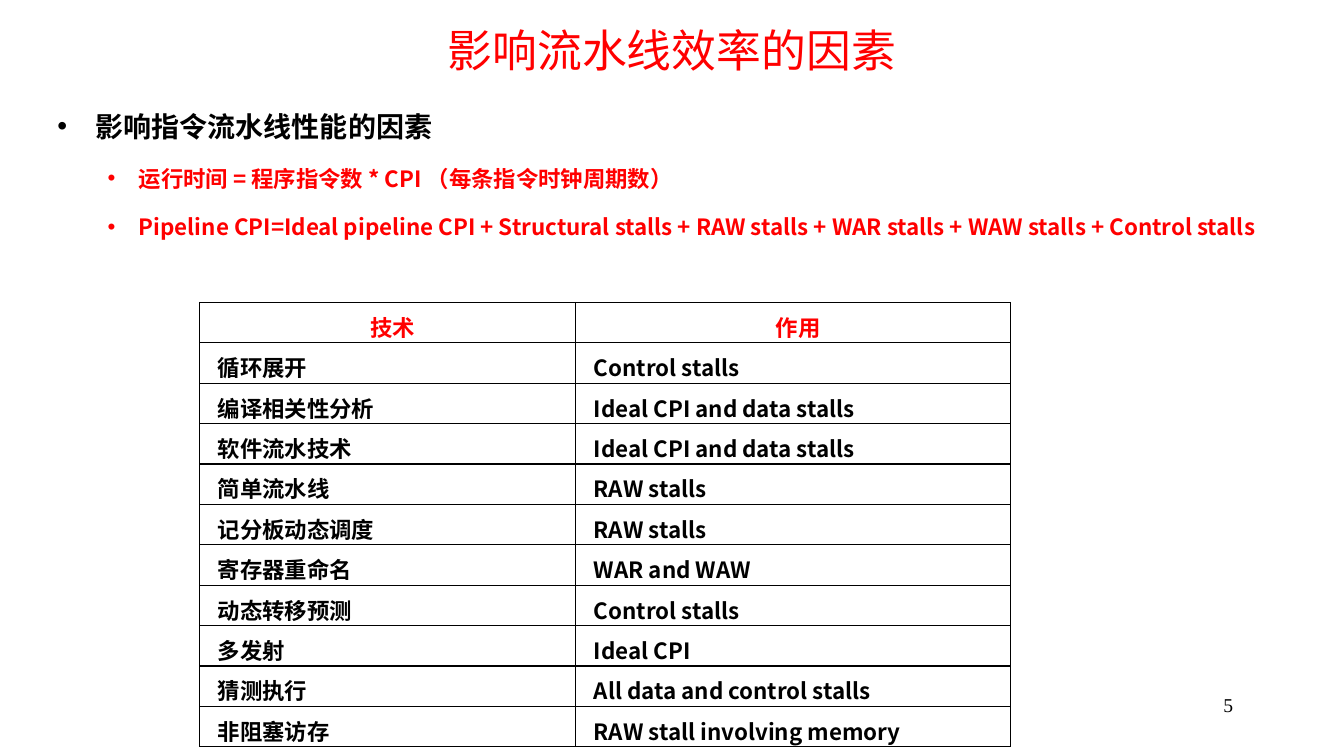
import pptx
import pptx.util
import pptx.dml.color
import pptx.enum.text
import pptx.oxml.ns
import lxml.etree
from dataclasses import dataclass

TITLE = "影响流水线效率的因素"
TOPIC = "影响指令流水线性能的因素"
FORMULAS = [
    "运行时间 = 程序指令数 * CPI （每条指令时钟周期数）",
    "Pipeline CPI=Ideal pipeline CPI + Structural stalls + RAW stalls"
    " + WAR stalls + WAW stalls + Control stalls",
]
PAGE_NUMBER = "5"
HEADINGS = ("技术", "作用")
TECHNIQUES = [
    ("循环展开", "Control stalls"),
    ("编译相关性分析", "Ideal CPI and data stalls"),
    ("软件流水技术", "Ideal CPI and data stalls"),
    ("简单流水线", "RAW stalls"),
    ("记分板动态调度", "RAW stalls"),
    ("寄存器重命名", "WAR and WAW"),
    ("动态转移预测", "Control stalls"),
    ("多发射", "Ideal CPI"),
    ("猜测执行", "All data and control stalls"),
    ("非阻塞访存", "RAW stall involving memory"),
]


@dataclass(frozen=True)
class Theme:
    accent: str = "FF0000"
    ink: str = "000000"
    title_size: int = 32
    topic_size: int = 20
    text_size: int = 16
    page_size: int = 14
    title_font: str = "Arial"
    text_font: str = "Noto Sans CJK SC"
    page_font: str = "Times New Roman"


THEME = Theme()
Inches = pptx.util.Inches
Pt = pptx.util.Pt
ALIGN = pptx.enum.text.PP_ALIGN
ANCHOR = pptx.enum.text.MSO_ANCHOR
qn = pptx.oxml.ns.qn

WIDTH, HEIGHT = 13.33, 7.5
TITLE_AREA = (1, 0.12, 11.33, 0.75)
BODY_AREA = (0.47, 0.87, 12.44, 2.16)
PAGE_AREA = (9.55, 6.83, 2.78, 0.5)
TABLE_AREA = (1.98, 3, 8.04, 4.41)
COLUMN_WIDTHS = (3.73, 4.31)


def write(paragraph, text, *, size=THEME.text_size, color=THEME.ink, font=THEME.text_font,
          bold=True, align=None, indent=None, spacing=None, before=None, level=0, bullet=None):
    props = paragraph._p.get_or_add_pPr()
    if indent:
        props.set("marL", str(Inches(indent[0])))
        props.set("indent", str(Inches(indent[1])))
    if bullet:
        lxml.etree.SubElement(props, qn("a:buFont"), typeface="Arial")
        lxml.etree.SubElement(props, qn("a:buChar"), char=bullet)
    paragraph.level = level
    paragraph.alignment = align
    paragraph.line_spacing = spacing
    paragraph.space_before = before
    run = paragraph.add_run()
    run.text = text
    run.font.size = Pt(size)
    run.font.bold = bold
    run.font.name = font
    run.font.color.rgb = pptx.dml.color.RGBColor.from_string(color)
    east_asian = lxml.etree.Element(qn("a:ea"), typeface=THEME.text_font)
    run._r.rPr.find(qn("a:latin")).addnext(east_asian)


def add_text_area(slide, area, anchor=ANCHOR.TOP):
    frame = slide.shapes.add_textbox(*map(Inches, area)).text_frame
    frame.word_wrap = True
    frame.vertical_anchor = anchor
    return frame


def outline(cell):
    cell.fill.background()
    props = cell._tc.get_or_add_tcPr()
    for position, side in enumerate(("lnL", "lnR", "lnT", "lnB")):
        border = lxml.etree.Element(qn(f"a:{side}"), w=str(Pt(1)))
        fill = lxml.etree.SubElement(border, qn("a:solidFill"))
        lxml.etree.SubElement(fill, qn("a:srgbClr"), val=THEME.ink)
        props.insert(position, border)


def add_technique_table(slide):
    rows = [HEADINGS, *TECHNIQUES]
    table = slide.shapes.add_table(len(rows), len(HEADINGS), *map(Inches, TABLE_AREA)).table
    table.first_row = table.horz_banding = False
    for column, width in zip(table.columns, COLUMN_WIDTHS):
        column.width = Inches(width)
    for index, texts in enumerate(rows):
        heading = index == 0
        table.rows[index].height = Inches(TABLE_AREA[3] / len(rows))
        for column, text in enumerate(texts):
            cell = table.cell(index, column)
            cell.margin_left = cell.margin_right = Inches(0.08)
            cell.margin_top = cell.margin_bottom = 0
            cell.vertical_anchor = ANCHOR.MIDDLE
            outline(cell)
            write(cell.text_frame.paragraphs[0], text, indent=(0.1, 0), spacing=1.25,
                  color=THEME.accent if heading else THEME.ink,
                  align=ALIGN.CENTER if heading else ALIGN.JUSTIFY)


def main():
    deck = pptx.Presentation()
    deck.slide_width, deck.slide_height = Inches(WIDTH), Inches(HEIGHT)
    slide = deck.slides.add_slide(deck.slide_layouts[6])

    title = add_text_area(slide, TITLE_AREA, ANCHOR.MIDDLE)
    write(title.paragraphs[0], TITLE, size=THEME.title_size, color=THEME.accent,
          font=THEME.title_font, bold=False, align=ALIGN.CENTER)

    body = add_text_area(slide, BODY_AREA)
    write(body.paragraphs[0], TOPIC, size=THEME.topic_size, indent=(0.38, -0.38),
          spacing=1.5, bullet="•")
    for formula in FORMULAS:
        write(body.add_paragraph(), formula, color=THEME.accent, indent=(0.81, -0.31),
              spacing=1.5, before=Pt(6), level=1, bullet="•")

    page = add_text_area(slide, PAGE_AREA)
    write(page.paragraphs[0], PAGE_NUMBER, size=THEME.page_size, font=THEME.page_font,
          bold=False, align=ALIGN.RIGHT)

    add_technique_table(slide)
    deck.save("out.pptx")


if __name__ == "__main__":
    main()
